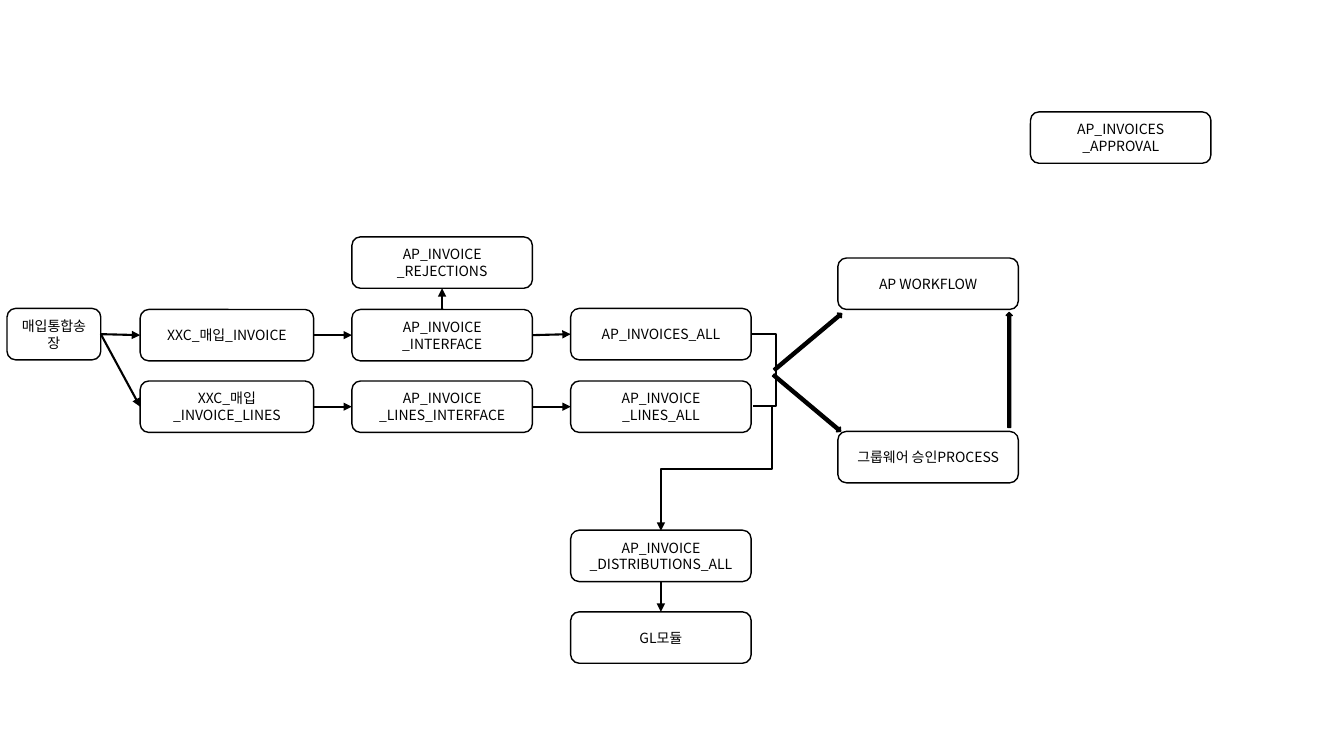
from lxml import etree
from pptx import Presentation
from pptx.dml.color import RGBColor
from pptx.enum.shapes import MSO_CONNECTOR, MSO_SHAPE
from pptx.enum.text import MSO_ANCHOR, PP_ALIGN
from pptx.oxml.ns import qn
from pptx.util import Inches, Pt

ROUND, ARROW = MSO_SHAPE.ROUNDED_RECTANGLE, MSO_SHAPE.RIGHT_ARROW
LINE, ELBOW = MSO_CONNECTOR.STRAIGHT, MSO_CONNECTOR.ELBOW
MIDDLE, CENTER = MSO_ANCHOR.MIDDLE, PP_ALIGN.CENTER
TOP, LEFT, BOTTOM, RIGHT = range(4)

COLORS = {"ink": "000000"}
FACE = "Noto Sans CJK KR"
FONT = {"name": FACE, "size": Pt(10)}
HIGH, WIDE = 0.51, 1.79

# Boxes: name -> left, top, width, lines of text
BOXES = {
    "source": (0.07, 3.06, 0.93, ["매입통합송장"]),
    "head": (1.39, 3.07, 1.72, ["XXC_매입_INVOICE"]),
    "lines": (1.39, 3.78, 1.72, ["XXC_매입_INVOICE_LINES"]),
    "inter": (3.49, 3.07, WIDE, ["AP_INVOICE", "_INTERFACE"]),
    "reject": (3.49, 2.35, WIDE, ["AP_INVOICE", "_REJECTIONS"]),
    "line_inter": (3.49, 3.78, WIDE, ["AP_INVOICE", "_LINES_INTERFACE"]),
    "all": (5.66, 3.06, WIDE, ["AP_INVOICES_ALL"]),
    "line_all": (5.66, 3.78, WIDE, ["AP_INVOICE", "_LINES_ALL"]),
    "approval": (10.22, 1.11, WIDE, ["AP_INVOICES", "_APPROVAL"]),
    "group": (8.31, 4.28, WIDE, ["그룹웨어 승인PROCESS"]),
    "flow": (8.31, 2.56, WIDE, ["AP WORKFLOW"]),
    "dist": (5.66, 5.26, WIDE, ["AP_INVOICE", "_DISTRIBUTIONS_ALL"]),
    "ledger": (5.66, 6.07, WIDE, ["GL모듈"]),
}

# Links: from box, side, to box, side
LINKS = [
    ("source", RIGHT, "head", LEFT),
    ("source", RIGHT, "lines", LEFT),
    ("head", RIGHT, "inter", LEFT),
    ("lines", RIGHT, "line_inter", LEFT),
    ("inter", TOP, "reject", BOTTOM),
    ("inter", RIGHT, "all", LEFT),
    ("line_inter", RIGHT, "line_all", LEFT),
    ("dist", BOTTOM, "ledger", TOP),
]

# Elbows: left, top, width, height, turn, bend in 1/100000 of width, arrowhead
ELBOWS = [
    (7.45, 3.31, 0.02, 0.72, 0, 1250000, False),
    (6.49, 4.1, 1.23, 1.1, 90, 50000, True),
]

# Block arrows: left, top, width, turn
ARROWS = [(7.58, 3.36, 0.87, 320), (7.57, 3.97, 0.87, 40),
          (9.44, 3.64, 1.14, 270)]
THICK = 0.06

deck = Presentation()
deck.slide_width, deck.slide_height = Inches(13.33), Inches(7.5)
slide = deck.slides.add_slide(deck.slide_layouts[6])
ink = RGBColor.from_string(COLORS["ink"])


def add_shape(kind, left, top, width, height):
    shape = slide.shapes.add_shape(
        kind, *map(Inches, (left, top, width, height)))
    shape.shadow.inherit = False
    shape.line.color.rgb = ink
    shape.line.width = Pt(1)
    return shape


def add_box(left, top, width, texts):
    box = add_shape(ROUND, left, top, width, HIGH)
    box.fill.background()
    frame = box.text_frame
    frame.word_wrap = True
    frame.vertical_anchor = MIDDLE
    for i, text in enumerate(texts):
        para = frame.add_paragraph() if i else frame.paragraphs[0]
        para.alignment = CENTER
        run = para.add_run()
        run.text = text
        run.font.color.rgb = ink
        for key, value in FONT.items():
            setattr(run.font, key, value)
        asian = etree.SubElement(run.font._element, qn("a:ea"))
        asian.set("typeface", FACE)
    return box


def add_link(kind, ends, head):
    link = slide.shapes.add_connector(kind, *map(Inches, ends))
    link.line.color.rgb = ink
    link.line.width = Pt(1.5)
    if head:
        tail = etree.SubElement(link.line._get_or_add_ln(), qn("a:tailEnd"))
        tail.set("type", "triangle")
    etree.SubElement(link._element.spPr, qn("a:effectLst"))
    return link


# Boxes
boxes = {name: add_box(*data) for name, data in BOXES.items()}

# Elbow connectors
for left, top, width, height, turn, bend, head in ELBOWS:
    link = add_link(ELBOW, (left, top, left + width, top + height), head)
    props = link._element.spPr
    props.find(qn("a:xfrm")).set("rot", str(turn * 60000))
    guides = props.find(qn("a:prstGeom")).find(qn("a:avLst"))
    guide = etree.SubElement(guides, qn("a:gd"))
    guide.set("name", "adj1")
    guide.set("fmla", f"val {bend}")

# Block arrows
for left, top, width, turn in ARROWS:
    arrow = add_shape(ARROW, left, top, width, THICK)
    arrow.fill.solid()
    arrow.fill.fore_color.rgb = ink
    arrow.rotation = turn

# Straight links
for start, out, end, into in LINKS:
    link = add_link(LINE, (0, 0, 1, 1), True)
    link.begin_connect(boxes[start], out)
    link.end_connect(boxes[end], into)

deck.save("out.pptx")
